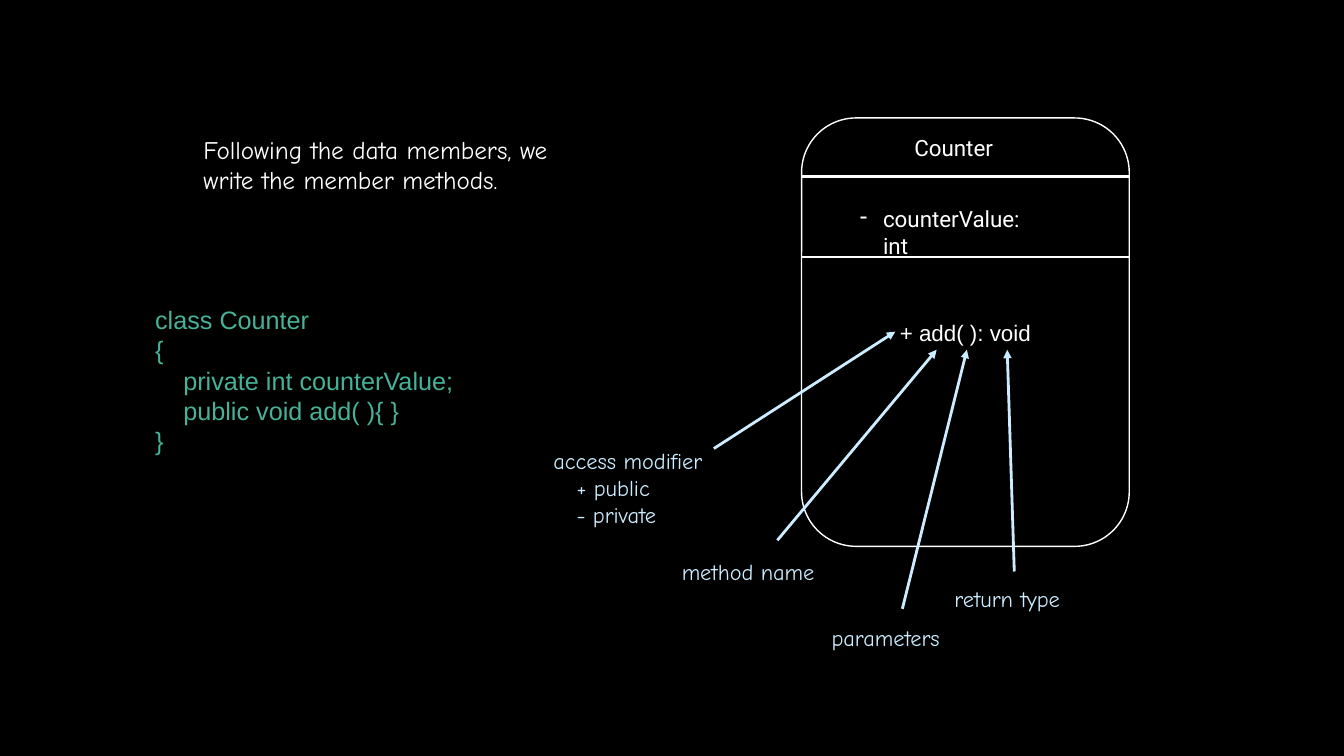
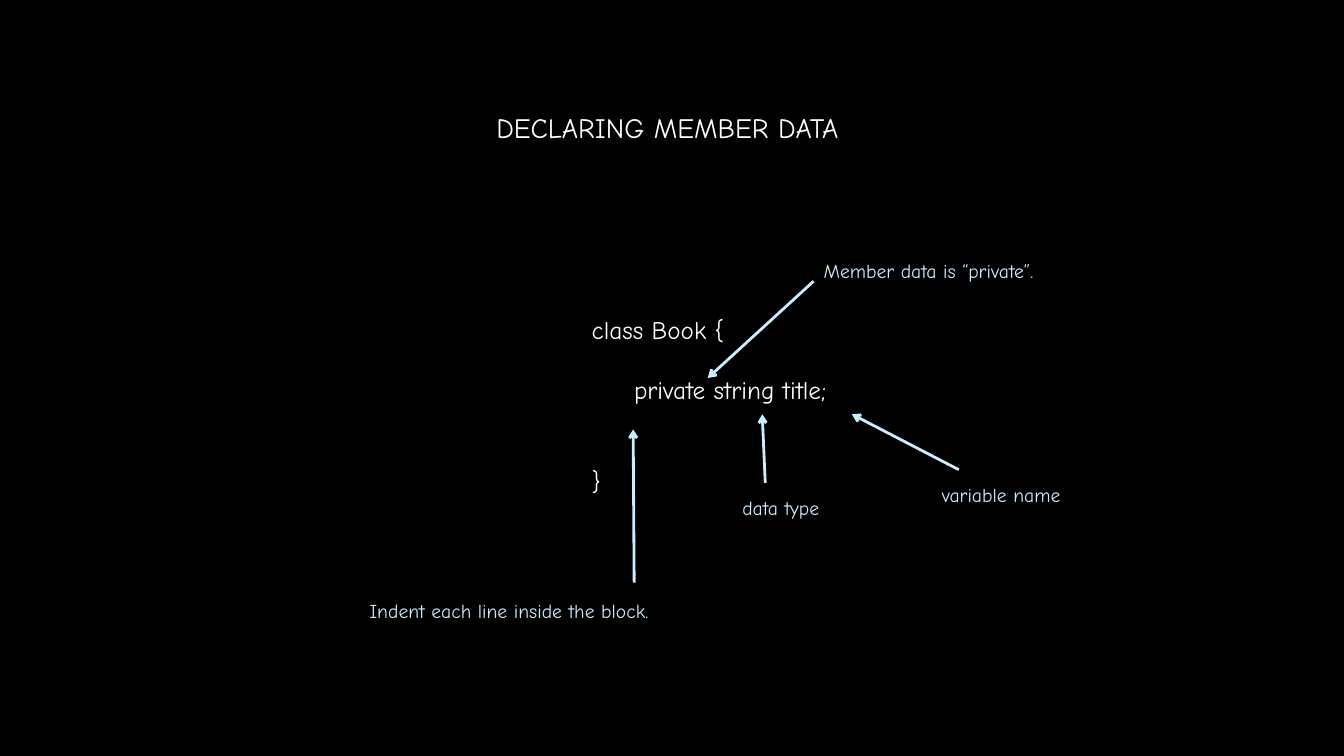
"""Build two slides on declaring class members, with labelled arrows."""
from lxml import etree
from pptx import Presentation
from pptx.dml.color import RGBColor
from pptx.enum.shapes import MSO_CONNECTOR, MSO_SHAPE
from pptx.enum.text import MSO_ANCHOR, MSO_AUTO_SIZE, PP_ALIGN
from pptx.oxml.ns import qn
from pptx.util import Inches, Pt

STRAIGHT = MSO_CONNECTOR.STRAIGHT
ROUNDED = MSO_SHAPE.ROUNDED_RECTANGLE
MIDDLE = MSO_ANCHOR.MIDDLE
FIT = MSO_AUTO_SIZE.SHAPE_TO_FIT_TEXT
LEFT, CENTER = PP_ALIGN.LEFT, PP_ALIGN.CENTER

COLORS = {"black": "000000", "white": "FFFFFF", "label": "CCECFF", "code": "46B298"}
STYLES = {
    "title": ("Comic Neue", 20, "white", CENTER),
    "body": ("Comic Neue", 18, "white", LEFT),
    "code": ("Arial", 18, "code", LEFT),
    "method": ("Arial", 16, "white", CENTER),
    "member": ("Roboto", 16, "white", LEFT),
    "list": ("Comic Neue", 16, "label", LEFT),
    "label": ("Comic Neue", 16, "label", CENTER),
    "note": ("Comic Neue", 14, "label", CENTER),
}

CLASS_BOX = (7.95, 1.17, 3.25, 4.25)
DIVIDERS = [1.75, 2.55]
DATA_MEMBER = ("member", (8.43, 1.99, 1.97, 0.37), ["counterValue: int"])

# Each line of text is a string or (string, indent in inches, space before in points).
METHOD_TEXTS = [
    ("body", (1.92, 1.28, 3.94, 0.71),
     ["Following the data members, we", "write the member methods."]),
    ("code", (1.44, 2.97, 4.31, 1.62),
     ["class Counter", "{", ("private int counterValue;", 0.28, 0),
      ("public void add( ){ }", 0.28, 0), "}"]),
    ("member", (8.97, 1.28, 0.98, 0.37), ["Counter"]),
    ("list", (5.39, 4.39, 1.83, 0.9),
     ["access modifier", ("+ public", 0.23, 0), ("- private", 0.23, 0)]),
    ("label", (6.63, 5.49, 1.58, 0.37), ["method name"]),
    ("list", (8.15, 6.14, 1.4, 0.37), ["parameters"]),
    ("label", (9.29, 5.76, 1.4, 0.37), ["return type"]),
]
METHOD_ARROWS = [
    (7.08, 4.45, 8.88, 3.29),
    (7.71, 5.36, 9.29, 3.47),
    (8.95, 6.04, 9.59, 3.47),
    (10.06, 5.67, 9.99, 3.47),
]

DATA_TEXTS = [
    ("title", (4.61, 1.05, 4.02, 0.44), ["DECLARING MEMBER DATA"]),
    ("body", (5.77, 3.07, 2.85, 1.92),
     ["class Book {", ("private string title;", 0.42, 21.5), ("}", 0, 43)]),
    ("note", (7.94, 2.52, 2.54, 0.34), ["Member data is “private”."]),
    ("note", (3.43, 5.89, 3.24, 0.34), ["Indent each line inside the block."]),
    ("note", (7.21, 4.87, 1.07, 0.34), ["data type"]),
    ("note", (9.21, 4.74, 1.44, 0.34), ["variable name"]),
]
DATA_ARROWS = [
    (8.07, 2.79, 7.02, 3.75),
    (6.29, 5.78, 6.28, 4.26),
    (7.59, 4.79, 7.56, 4.11),
    (9.51, 4.66, 8.45, 4.11),
]


def color(name):
    return RGBColor.from_string(COLORS[name])


def write(tf, style, lines):
    font, size, ink, align = STYLES[style]
    for i, line in enumerate(lines):
        text, indent, before = (line, 0, 0) if isinstance(line, str) else line
        p = tf.add_paragraph() if i else tf.paragraphs[0]
        p.alignment = align
        p.space_before = Pt(before)
        if indent:
            p._p.get_or_add_pPr().set("marL", str(Inches(indent)))
        r = p.add_run()
        r.text = text
        r.font.name, r.font.size = font, Pt(size)
        r.font.color.rgb = color(ink)


def add_text(slide, style, at, lines, wrap=False):
    tf = slide.shapes.add_textbox(*map(Inches, at)).text_frame
    tf.word_wrap = wrap
    tf.auto_size = FIT
    write(tf, style, lines)
    return tf


def add_line(slide, ends, ink, head=None):
    line = slide.shapes.add_connector(STRAIGHT, *map(Inches, ends))
    line.line.color.rgb = color(ink)
    line.line.width = Pt(2)
    if head:
        etree.SubElement(line.line._get_or_add_ln(), qn("a:tailEnd"), type=head)
    etree.SubElement(line._element.spPr, qn("a:effectLst"))


def add_class_box(slide):
    left, top, width, height = CLASS_BOX
    sp = slide.shapes.add_shape(ROUNDED, *map(Inches, CLASS_BOX))
    sp.shadow.inherit = False
    sp.fill.solid()
    sp.fill.fore_color.rgb = color("black")
    sp.line.color.rgb = color("white")
    sp.line.width = Pt(1)
    tf = sp.text_frame
    tf.word_wrap = False
    tf.vertical_anchor = MIDDLE
    write(tf, "method", ["+ add( ): void"])
    for y in DIVIDERS:
        add_line(slide, (left, y, left + width, y), "white")
    pPr = add_text(slide, *DATA_MEMBER, wrap=True).paragraphs[0]._p.get_or_add_pPr()
    pPr.set("marL", str(Inches(0.23)))
    pPr.set("indent", str(Inches(-0.23)))
    etree.SubElement(pPr, qn("a:buChar"), char="-")


def add_labelled(slide, texts, arrows, head):
    for text in texts:
        add_text(slide, *text)
    for ends in arrows:
        add_line(slide, ends, "label", head)


def main():
    prs = Presentation()
    prs.slide_width, prs.slide_height = Inches(13.33), Inches(7.5)
    fill = prs.slide_master.background.fill
    fill.solid()
    fill.fore_color.rgb = color("black")
    blank = prs.slide_layouts[6]

    methods = prs.slides.add_slide(blank)
    add_class_box(methods)
    add_labelled(methods, METHOD_TEXTS, METHOD_ARROWS, "triangle")

    data = prs.slides.add_slide(blank)
    add_labelled(data, DATA_TEXTS, DATA_ARROWS, "arrow")
    prs.save("out.pptx")


if __name__ == "__main__":
    main()
